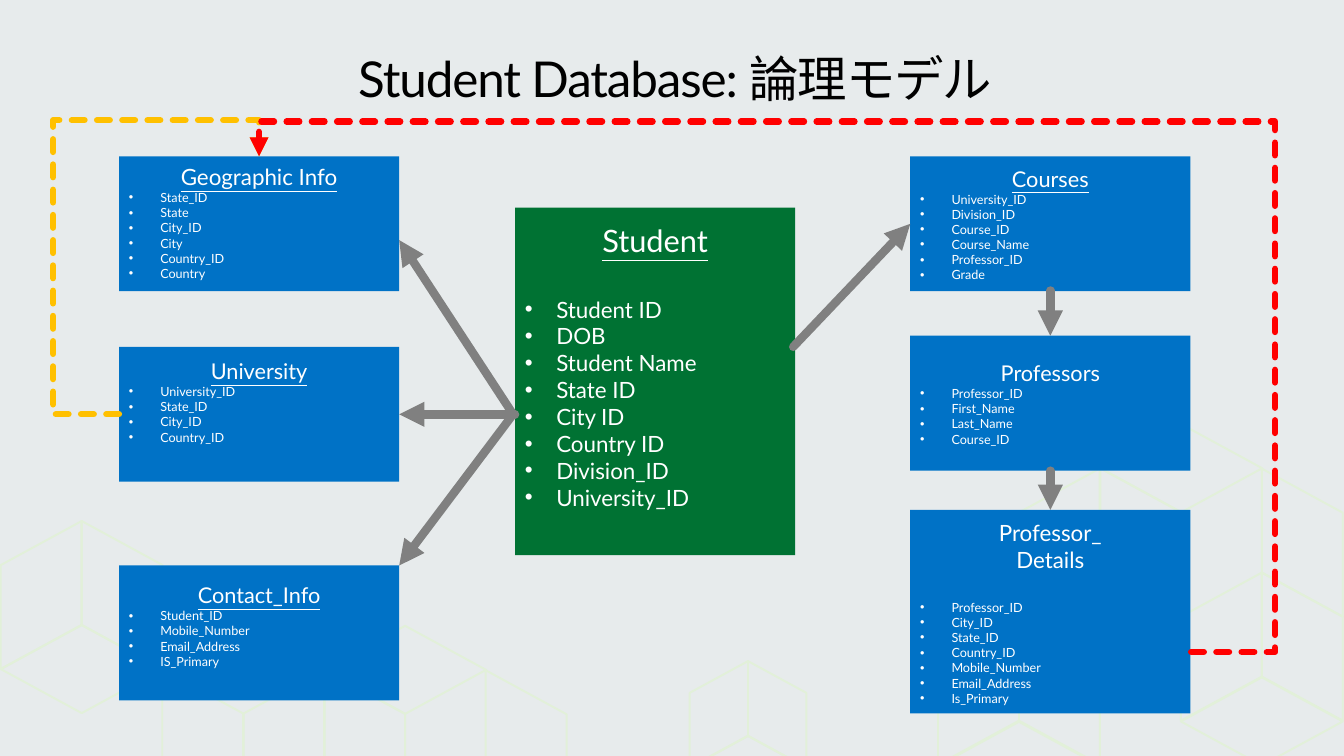
from lxml.etree import SubElement
from pptx import Presentation
from pptx.dml.color import RGBColor
from pptx.enum.dml import MSO_LINE
from pptx.enum.shapes import MSO_CONNECTOR, MSO_SHAPE
from pptx.enum.text import MSO_ANCHOR, MSO_AUTO_SIZE, PP_ALIGN
from pptx.oxml.ns import qn
from pptx.util import Cm, Pt

BACKGROUND = RGBColor(0xE7, 0xEB, 0xEC)
PALE_GREEN = RGBColor(0xE2, 0xF0, 0xD9)
GREEN = RGBColor(0x00, 0x72, 0x33)
BLUE = RGBColor(0x00, 0x72, 0xC6)
GREY = RGBColor(0x80, 0x80, 0x80)
YELLOW = RGBColor(0xFF, 0xC0, 0x00)
RED = RGBColor(0xFF, 0x00, 0x00)
WHITE = RGBColor(0xFF, 0xFF, 0xFF)
BLACK = RGBColor(0x00, 0x00, 0x00)

HALF, RISE, EDGE = 2.04, 1.11, 2.62
RIGHT_WALL = [(0, EDGE), (HALF, EDGE + RISE), (HALF, RISE), (0, 0)]
LEFT_WALL = [(-x, y) for x, y in RIGHT_WALL]
DIAMOND = [(0, 0), (HALF, RISE), (0, 2 * RISE), (-HALF, RISE)]
CORNER = [(-HALF, RISE), (0, 2 * RISE), (0, 2 * RISE + EDGE), (-HALF, 3 * RISE + EDGE),
          (-2 * HALF, 2 * RISE + EDGE), (-HALF, RISE + EDGE)]
CHEVRON = [(HALF, RISE), (0, 0), (-HALF, RISE)]

LATTICE = [
    (LEFT_WALL, [(25.68, 15.54), (27.71, 11.81), (31.8, 14.43), (8.18, 16.87), (2.06, 13.13)]),
    (RIGHT_WALL, [(25.68, 15.54), (31.8, 14.43), (31.8, 11.81), (4.09, 16.87),
                  (2.06, 13.13), (12.24, 16.89)]),
    (DIAMOND, [(31.8, 17.07), (2.06, 15.75), (29.77, 10.69), (10.21, 15.77)]),
    (CORNER, [(29.77, 10.69), (10.21, 15.77)]),
    (CHEVRON, [(25.68, 18.19)]),
]
SMALL_CUBE = [(LEFT_WALL, 16.66), (RIGHT_WALL, 16.66), (CHEVRON, 18.54)]

LEFT, RIGHT, WIDTH, HEIGHT = 3, 22.94, 7.06, 3.4
ENTITIES = [
    (LEFT, 3.94, HEIGHT, 0.17, ["Geographic Info"], 16, True, 0,
     ["State_ID", "State", "City_ID", "City", "Country_ID", "Country"]),
    (LEFT, 8.74, HEIGHT, 0.28, ["University"], 15.5, True, 0,
     ["University_ID", "State_ID", "City_ID", "Country_ID"]),
    (LEFT, 14.25, HEIGHT, 0.42, ["Contact_Info"], 15.5, True, 0,
     ["Student_ID", "Mobile_Number", "Email_Address", "IS_Primary"]),
    (RIGHT, 3.94, HEIGHT, 0.23, ["Courses"], 15.5, True, 0,
     ["University_ID", "Division_ID", "Course_ID", "Course_Name", "Professor_ID", "Grade"]),
    (RIGHT, 8.46, HEIGHT, 0.61, ["Professors"], 15.5, False, 0,
     ["Professor_ID", "First_Name", "Last_Name", "Course_ID"]),
    (RIGHT, 12.85, 5.13, 0.23, ["Professor_", "Details"], 16, False, 19.2,
     ["Professor_ID", "City_ID", "State_ID", "Country_ID", "Mobile_Number",
      "Email_Address", "Is_Primary"]),
]
STUDENT_FIELDS = ["Student ID", "DOB", "Student Name", "State ID", "City ID",
                  "Country ID", "Division_ID", "University_ID"]

RELATIONS = [
    ((26.47, 7.32), (26.47, 8.46)),
    ((19.99, 8.74), (22.94, 5.64)),
    ((12.93, 10.44), (10.06, 6.05)),
    ((12.98, 10.44), (10.06, 10.44)),
    ((12.93, 10.44), (10.06, 14.25)),
    ((26.47, 11.86), (26.47, 12.85)),
]


class Diagram:
    font = "Lato"

    def __init__(self, slide):
        self.slide = slide
        fill = slide.background.fill
        fill.solid()
        fill.fore_color.rgb = BACKGROUND

    def style(self, paragraph, size, color, underline=None):
        font = paragraph.font
        font.name, font.size, font.underline = self.font, Pt(size), underline
        font.color.rgb = color

    def title(self, text):
        title = self.slide.shapes.title
        title.left, title.top, title.width, title.height = Cm(0.76), Cm(0.81), Cm(32.51), Cm(2.49)
        frame = title.text_frame
        frame.text = text
        frame.word_wrap, frame.auto_size = True, MSO_AUTO_SIZE.NONE
        frame.vertical_anchor = MSO_ANCHOR.MIDDLE
        heading = frame.paragraphs[0]
        heading.alignment, heading.line_spacing = PP_ALIGN.CENTER, 0.9
        self.style(heading, 35.3, BLACK)
        heading._p.pPr.find(qn("a:defRPr")).set("spc", "-80")

    def outline(self, points, x, y, scale=1, close=True):
        corners = [(Cm(x + dx * scale), Cm(y + dy * scale)) for dx, dy in points]
        builder = self.slide.shapes.build_freeform(*corners[0])
        builder.add_line_segments(corners[1:], close=close)
        face = builder.convert_to_shape()
        face.shadow.inherit = False
        face.fill.background()
        face.line.color.rgb = PALE_GREEN
        face.line.width = Pt(1.38)

    def entity(self, left, top, height, inset, names, size, underline, gap, fields,
               field_size=9, color=BLUE):
        box = self.slide.shapes.add_shape(
            MSO_SHAPE.RECTANGLE, Cm(left), Cm(top), Cm(WIDTH), Cm(height))
        box.shadow.inherit = False
        box.fill.solid()
        box.fill.fore_color.rgb = color
        box.line.fill.background()
        frame = box.text_frame
        frame.word_wrap, frame.vertical_anchor = True, MSO_ANCHOR.TOP
        frame.margin_top, frame.margin_bottom = Cm(inset), 0
        frame.text = "\n".join(names + fields)
        headings = frame.paragraphs[:len(names)]
        for heading in headings:
            heading.alignment = PP_ALIGN.CENTER
            self.style(heading, size, WHITE, underline)
        headings[-1].space_after = Pt(gap)
        for field in frame.paragraphs[len(names):]:
            field.alignment = PP_ALIGN.LEFT
            properties = field._p.get_or_add_pPr()
            properties.set("marL", str(Cm(0.79)))
            properties.set("indent", str(-Cm(0.79)))
            SubElement(properties, qn("a:buFont"), typeface="Arial")
            SubElement(properties, qn("a:buChar"), char="•")
            self.style(field, field_size, WHITE)

    def arrow(self, start, end, color=GREY, width=6, bends=None):
        kind = MSO_CONNECTOR.ELBOW if bends else MSO_CONNECTOR.STRAIGHT
        link = self.slide.shapes.add_connector(kind, *[Cm(v) for v in start + end])
        link.line.color.rgb = color
        link.line.width = Pt(width)
        properties = link._element.spPr
        if bends:
            link.line.dash_style = MSO_LINE.SQUARE_DOT
            geometry = properties.find(qn("a:prstGeom"))
            geometry.set("prst", "bentConnector4")
            guides = geometry.find(qn("a:avLst"))
            for number, share in enumerate(bends, 1):
                SubElement(guides, qn("a:gd"), name=f"adj{number}",
                           fmla=f"val {round(share * 100000)}")
        stroke = properties.find(qn("a:ln"))
        stroke.set("cap", "rnd")
        SubElement(stroke, qn("a:tailEnd"), type="triangle")
        SubElement(properties, qn("a:effectLst"))


def main():
    presentation = Presentation()
    presentation.slide_width, presentation.slide_height = Cm(33.87), Cm(19.05)
    diagram = Diagram(presentation.slides.add_slide(presentation.slide_layouts[5]))
    for face, places in LATTICE:
        for x, y in places:
            diagram.outline(face, x, y, close=face is not CHEVRON)
    for face, y in SMALL_CUBE:
        diagram.outline(face, 18.85, y, 0.72, face is not CHEVRON)
    diagram.title("Student Database: 論理モデル")
    diagram.entity(12.98, 5.23, 8.76, 0.36, ["Student"], 22, True, 26.4,
                   STUDENT_FIELDS, 16, GREEN)
    for entity in ENTITIES:
        diagram.entity(*entity)
    for start, end in RELATIONS:
        diagram.arrow(start, end)
    diagram.arrow((3, 10.44), (6.53, 3.94), YELLOW, 4.5, (-0.47, 1.14))
    diagram.arrow((30.02, 16.43), (6.53, 3.94), RED, 4.5, (-0.09, 1.07))
    presentation.save("out.pptx")


if __name__ == "__main__":
    main()
